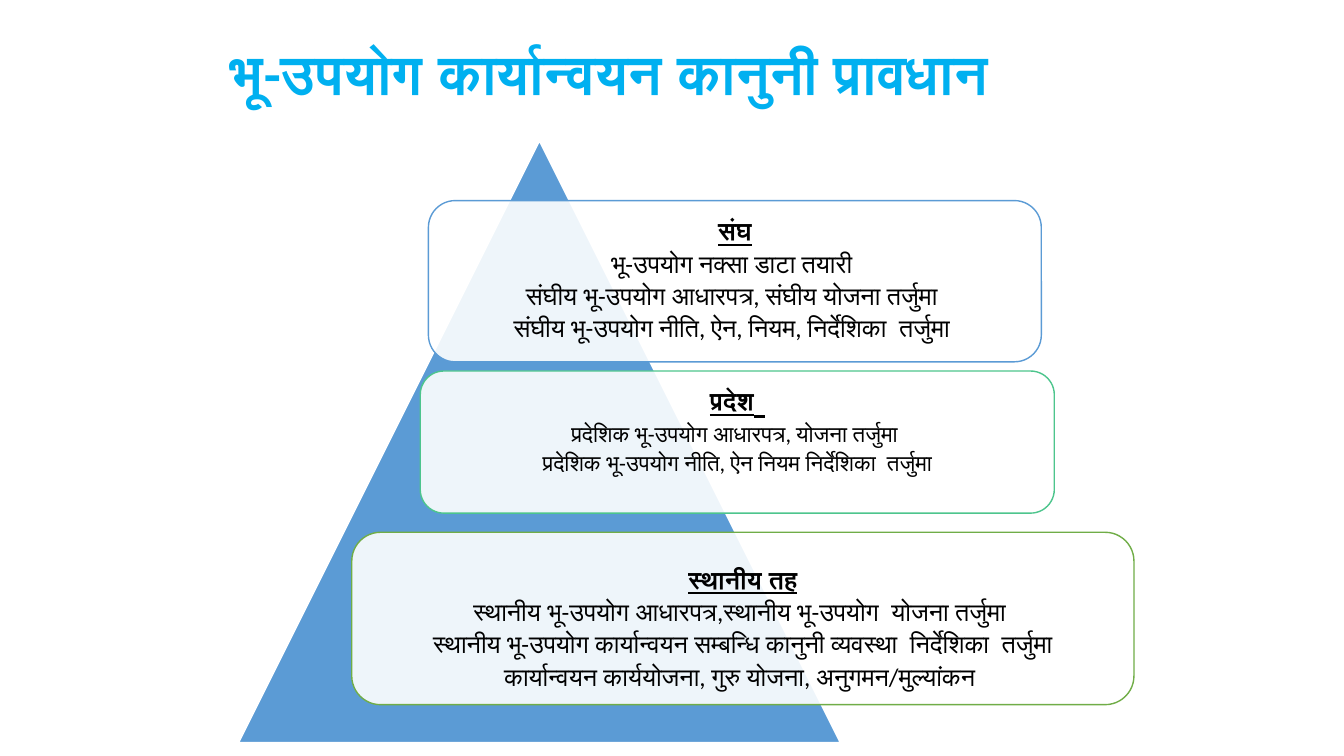
import pptx
import pptx.dml.color
import pptx.enum.shapes
import pptx.enum.text
import pptx.oxml.ns
import pptx.util
from lxml import etree

Pt = pptx.util.Pt
SHAPES = pptx.enum.shapes.MSO_SHAPE
FONT = "Calibri"

# Frame, outline, inset, extra top and bottom inset, line size, heading, lines
LEVELS = [
    ((306, 143.3, 437.8, 115.2), "5B9BD5", 5, 0, 0, 18, "संघ", [
        "भू-उपयोग नक्सा डाटा तयारी ",
        "संघीय भू-उपयोग आधारपत्र, संघीय योजना तर्जुमा ",
        "संघीय भू-उपयोग नीति, ऐन, नियम, निर्देशिका  तर्जुमा ",
    ]),
    ((300.2, 265, 452.9, 101.5), "4DC58D", 5, 0, 22, 16, "प्रदेश", [
        "प्रदेशिक भू-उपयोग आधारपत्र, योजना तर्जुमा ",
        "प्रदेशिक भू-उपयोग नीति, ऐन नियम निर्देशिका  तर्जुमा",
    ]),
    ((251.3, 380.2, 558.7, 123.1), "70AD47", 8.6, 8, -8, 18, "स्थानीय तह", [
        "स्थानीय भू-उपयोग आधारपत्र,स्थानीय भू-उपयोग  योजना तर्जुमा ",
        "स्थानीय भू-उपयोग कार्यान्वयन सम्बन्धि कानुनी व्यवस्था  निर्देशिका  तर्जुमा",
        "कार्यान्वयन कार्ययोजना, गुरु योजना, अनुगमन/मुल्यांकन ",
    ]),
]


def color(value):
    return pptx.dml.color.RGBColor.from_string(value)


def format_run(run, size, value="000000", bold=False, underline=False):
    run.font.name = FONT
    run.font.size = Pt(size)
    run.font.bold = bold
    run.font.underline = underline
    run.font.color.rgb = color(value)


def add_title(slide, text):
    title = slide.shapes.title
    title.left, title.top, title.width, title.height = map(Pt, (157, 9.4, 648, 90))
    title.text_frame.text = text
    title.text_frame.vertical_anchor = pptx.enum.text.MSO_ANCHOR.MIDDLE
    paragraph = title.text_frame.paragraphs[0]
    paragraph.alignment = pptx.enum.text.PP_ALIGN.LEFT
    paragraph.line_spacing = 0.9
    format_run(paragraph.runs[0], 39.6, "00B0F0", bold=True)


def add_filled_shape(slide, kind, frame, fill, line, line_width):
    shape = slide.shapes.add_shape(kind, *map(Pt, frame))
    shape.shadow.inherit = False
    shape.fill.solid()
    shape.fill.fore_color.rgb = color(fill)
    shape.line.color.rgb = color(line)
    shape.line.width = Pt(line_width)
    return shape


def set_opacity(shape, percent):
    fill = shape.fill._xPr.find(pptx.oxml.ns.qn("a:solidFill"))
    alpha = etree.SubElement(fill[0], pptx.oxml.ns.qn("a:alpha"))
    alpha.set("val", str(percent * 1000))


def add_level(slide, frame, outline, inset, extra_top, extra_bottom, size, heading, lines):
    card = add_filled_shape(slide, SHAPES.ROUNDED_RECTANGLE, frame, "FFFFFF", outline, 1)
    set_opacity(card, 90)
    text_frame = card.text_frame
    text_frame.word_wrap = True
    text_frame.vertical_anchor = pptx.enum.text.MSO_ANCHOR.MIDDLE
    text_frame.margin_left = text_frame.margin_right = Pt(inset)
    text_frame.margin_top = Pt(inset + extra_top)
    text_frame.margin_bottom = Pt(inset + extra_bottom)
    text_frame.text = "\n".join([heading, *lines])
    for index, paragraph in enumerate(text_frame.paragraphs):
        paragraph.alignment = pptx.enum.text.PP_ALIGN.CENTER
        paragraph.line_spacing = 0.9
        paragraph.space_after = Pt(0.2 * size)
        is_heading = index == 0
        format_run(paragraph.runs[0], 18 if is_heading else size,
                   bold=is_heading, underline=is_heading)
    return card


def main():
    presentation = pptx.Presentation()
    presentation.slide_width, presentation.slide_height = Pt(960), Pt(540)
    slide = presentation.slides.add_slide(presentation.slide_layouts[5])

    add_title(slide, "भू-उपयोग कार्यान्वयन कानुनी प्रावधान")

    # Pyramid behind the three levels of government
    add_filled_shape(slide, SHAPES.ISOSCELES_TRIANGLE, (170, 100.1, 430.6, 430.6),
                     "5B9BD5", "FFFFFF", 1.5)
    cards = [add_level(slide, *level) for level in LEVELS]

    # The province heading ends with a large underlined space
    space = cards[1].text_frame.paragraphs[0].add_run()
    space.text = " "
    format_run(space, 28, bold=True, underline=True)

    presentation.save("out.pptx")


if __name__ == "__main__":
    main()
